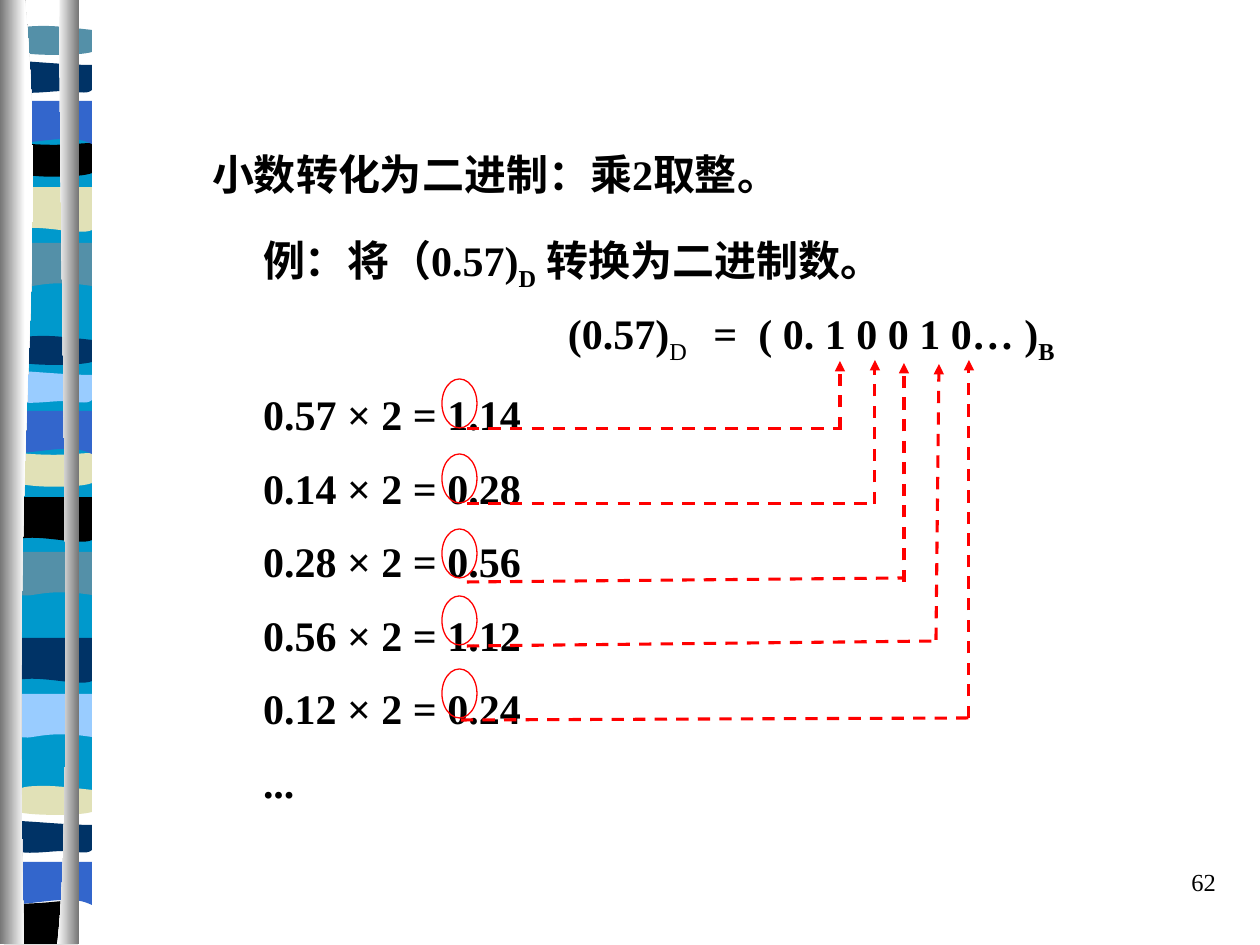
from pptx import Presentation
from pptx.dml.color import RGBColor
from pptx.enum.dml import MSO_LINE
from pptx.enum.shapes import MSO_CONNECTOR, MSO_SHAPE
from pptx.enum.text import MSO_ANCHOR, MSO_AUTO_SIZE, PP_ALIGN
from pptx.oxml.ns import qn
from pptx.util import Pt
from lxml.etree import SubElement

PX = 914400 // 126
FONT = "Times New Roman"
C = {"ink": "000000", "red": "FF0000", "base": "0099CC", "steel": "5490A8",
     "navy": "003366", "blue": "3366CC", "sky": "99CCFF", "sand": "E1E1B7",
     "grey": "767676", "white": "FFFFFF"}

OUTLINES = {
    "sag": [(74, 0), (74, 43), (23, 35, 13, 48, 0, 42), (0, 0)],
    "swell": [(74, 0), (74, 43), (62, 49, 23, 37, 0, 42), (0, 0)],
    "lens": [(74, 4), (74, 26), (62, 30, 13, 30, 0, 26), (0, 4),
             (5, 0, 16, 0, 29, 0), (40, 0, 64, 3, 74, 4)],
    "hull": [(74, 0), (74, 30), (62, 35, 13, 35, 0, 30), (0, 0),
             (45, 4, 58, 0, 74, 0)],
    "arch": [(74, 0), (74, 43), (63, 38, 58, 38, 45, 38),
             (33, 38, 11, 42, 0, 42), (0, 0)],
    "flag": [(74, 4), (74, 29), (69, 34, 58, 30, 45, 30),
             (33, 30, 8, 34, 0, 30), (0, 0), (10, 0, 50, 4, 74, 4)],
    "foot": [(74, 0), (74, 44), (0, 44), (0, 4), (45, 4, 58, 0, 74, 0)],
    "base": [(74, 0), (74, 704), (0, 704), (0, 0)],
    "left post": [(25, 0), (49, 272, 11, 373, 24, 944), (0, 944), (0, 0)],
    "right post": [(60, 0), (57, 158, 76, 814, 57, 944), (79, 944), (79, 0)],
}
BANDS = [("base", "base", 18, 106), ("sag", "steel", 18, 243),
         ("swell", "sand", 18, 187), ("lens", "steel", 18, 26),
         ("hull", "ink", 18, 143), ("arch", "blue", 18, 101),
         ("flag", "navy", 18, 61), ("sag", "steel", 18, 552),
         ("swell", "ink", 18, 497), ("lens", "navy", 18, 336),
         ("hull", "sand", 18, 453), ("arch", "blue", 18, 411),
         ("flag", "sky", 18, 371), ("sag", "sky", 18, 694),
         ("swell", "navy", 18, 638), ("lens", "sand", 18, 786),
         ("foot", "ink", 4, 900), ("arch", "blue", 18, 862),
         ("flag", "navy", 18, 821)]
POSTS = [("left post", "grey", "white"), ("right post", "white", "grey")]

TITLE = [("小数转化为二进制：乘2取整。", True, 0, 0)]
EXAMPLE = [("例：将（0.57)", True, 0, 0), ("D", True, -25, 0),
           (" 转换为二进制数。", True, 0, 0)]
RESULT = [("(0.57)", True, 0, 0), ("D", False, -25, 0), (" ", True, 0, 9),
          ("=", True, 0, 0), (" ", True, 0, 6),
          ("( 0. 1 0 0 1 0… )", True, 0, 0), ("B", True, -25, 0)]
STEPS = [
    ("0.57 × 2 = 1.14", 379, [(467, 429), (842, 429)], [(840, 429), (840, 361)]),
    ("0.14 × 2 = 0.28", 454, [(467, 504), (874, 504)], [(875, 504), (875, 360)]),
    ("0.28 × 2 = 0.56", 529, [(467, 582), (904, 578)], [(904, 582), (904, 363)]),
    ("0.56 × 2 = 1.12", 596, [(467, 646), (939, 641)], [(936, 640), (939, 364)]),
    ("0.12 × 2 = 0.24", 669, [(461, 720), (969, 718)], [(969, 718), (969, 360)]),
]


def rgb(name):
    return RGBColor.from_string(C[name])


def add_outline(kind, left=0, top=0):
    outline = OUTLINES[kind]
    pts = [((seg[-2] + left) * PX, (seg[-1] + top) * PX) for seg in outline]
    fb = s.shapes.build_freeform(*pts[0])
    fb.add_line_segments(pts[1:], close=True)
    sp = fb.convert_to_shape()
    for seg, ln in zip(outline[1:], list(sp._element.iter(qn("a:lnTo")))):
        if len(seg) == 6:
            ln.tag = qn("a:cubicBezTo")
            ln.remove(ln[0])
            for x, y in zip(seg[::2], seg[1::2]):
                SubElement(ln, qn("a:pt"), x=str((x + left) * PX - sp.left),
                           y=str((y + top) * PX - sp.top))
    sp.shadow.inherit = False
    sp.line.fill.background()
    return sp


def place(sp, left, top, width, height):
    sp.left, sp.top, sp.width, sp.height = (
        v * PX for v in (left, top, width, height))
    tf = sp.text_frame
    tf.word_wrap = True
    tf.auto_size = MSO_AUTO_SIZE.NONE
    tf.vertical_anchor = MSO_ANCHOR.TOP
    tf.margin_left = tf.margin_right = tf.margin_top = tf.margin_bottom = 0
    return tf


def write(p, runs, size=24, align=PP_ALIGN.LEFT, before=0, spacing=None):
    p.alignment, p.space_before = align, Pt(before)
    p.line_spacing = spacing
    pPr = p._p.get_or_add_pPr()
    pPr.set("marL", "0")
    pPr.set("indent", "0")
    SubElement(pPr, qn("a:buNone"))
    for text, bold, base, gap in runs:
        r = p.add_run()
        r.text = text
        f = r.font
        f.name, f.size, f.bold = FONT, Pt(size), bold
        f.color.rgb = rgb("ink")
        if base:
            r._r.get_or_add_rPr().set("baseline", str(base * 1000))
        if gap:
            r._r.get_or_add_rPr().set("spc", str(gap * 100))


def add_wire(start, end, arrow=False):
    cn = s.shapes.add_connector(MSO_CONNECTOR.STRAIGHT,
                                *(v * PX for v in start + end))
    cn.line.color.rgb = rgb("red")
    cn.line.width = Pt(1.75)
    cn.line.dash_style = MSO_LINE.DASH
    if arrow:
        SubElement(cn.line._get_or_add_ln(), qn("a:tailEnd"), type="triangle")
    SubElement(cn._element.spPr, qn("a:effectLst"))


prs = Presentation()
prs.slide_width, prs.slide_height = 1260 * PX, 945 * PX
s = prs.slides.add_slide(prs.slide_layouts[1])

for kind, color, left, top in BANDS:
    sp = add_outline(kind, left, top)
    sp.fill.solid()
    sp.fill.fore_color.rgb = rgb(color)
for kind, *colors in POSTS:
    sp = add_outline(kind)
    sp.fill.gradient()
    sp.fill.gradient_angle = 0
    for stop, color in zip(sp.fill.gradient_stops, colors):
        stop.color.rgb = rgb(color)

tf = place(s.shapes.title, 212, 136, 900, 63)
write(tf.paragraphs[0], TITLE, spacing=Pt(36))

tf = place(s.placeholders[1], 263, 229, 880, 600)
write(tf.paragraphs[0], EXAMPLE, spacing=Pt(36))
lines = [step[0] for step in STEPS] + ["..."]
for i, line in enumerate(lines):
    write(tf.add_paragraph(), [(line, True, 0, 0)],
          before=6 if i else 48, spacing=Pt(36))

for _, top, wire, riser in STEPS:
    sp = s.shapes.add_shape(MSO_SHAPE.OVAL, 442 * PX, top * PX, 35 * PX, 49 * PX)
    sp.shadow.inherit = False
    sp.fill.background()
    sp.line.color.rgb = rgb("red")
    sp.line.width = Pt(0.75)
    add_wire(*wire)
    add_wire(*riser, arrow=True)

tf = place(s.shapes.add_textbox(0, 0, 0, 0), 568, 308, 640, 60)
write(tf.paragraphs[0], RESULT)
tf = place(s.shapes.add_textbox(0, 0, 0, 0), 979, 867, 237, 40)
write(tf.paragraphs[0], [("62", False, 0, 0)], size=14, align=PP_ALIGN.RIGHT)

prs.save("out.pptx")
